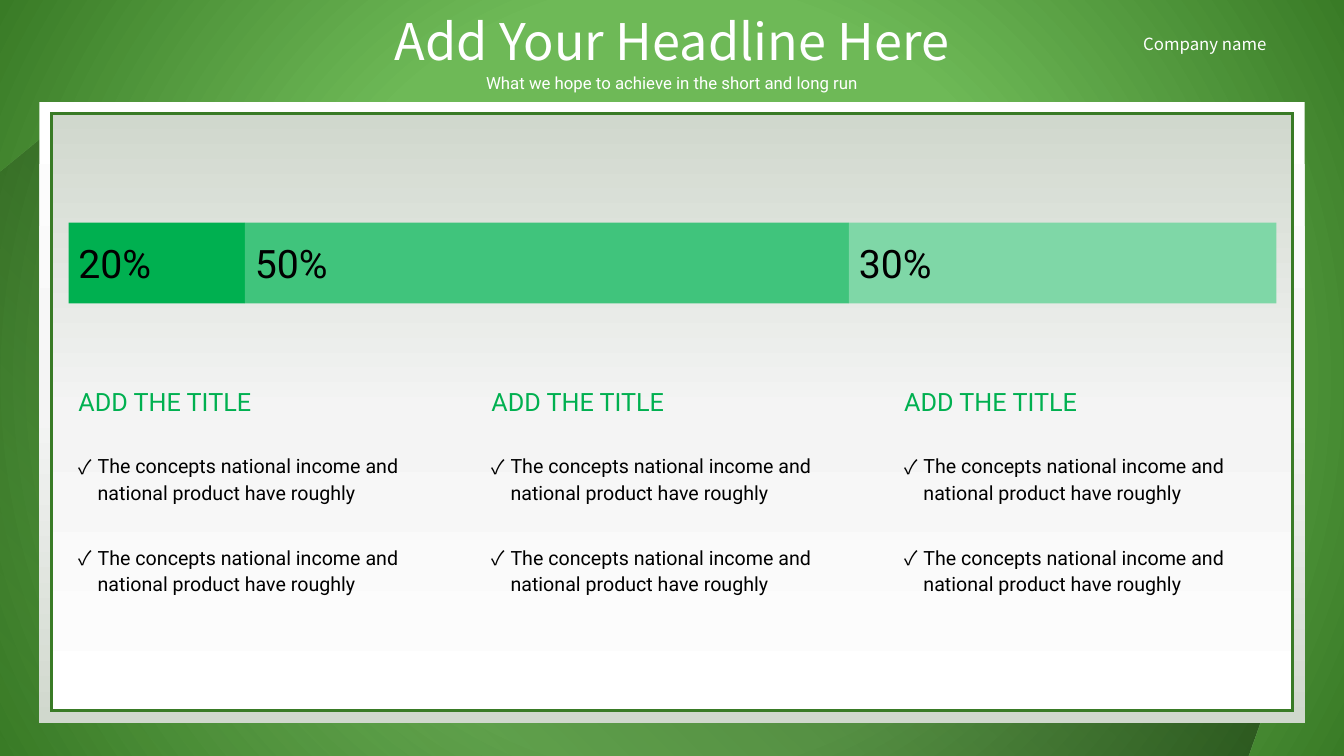
from lxml import etree
from pptx import Presentation
from pptx.dml.color import RGBColor
from pptx.enum.shapes import MSO_SHAPE
from pptx.enum.text import MSO_ANCHOR, MSO_AUTO_SIZE, PP_ALIGN
from pptx.oxml.ns import qn
from pptx.util import Inches, Pt

RECTANGLE = MSO_SHAPE.RECTANGLE
TOP, MIDDLE = MSO_ANCHOR.TOP, MSO_ANCHOR.MIDDLE
LEFT, CENTER = PP_ALIGN.LEFT, PP_ALIGN.CENTER
HEADING_FONT, BODY_FONT = "Noto Sans CJK SC", "Roboto"
WHITE, BLACK, GREEN, DARK_GREEN = "FFFFFF", "000000", "00B050", "397B26"

HEADLINE = "Add Your Headline Here"
SUBTITLE = "What we hope to achieve in the short and long run"
COMPANY = "Company name"
SEGMENTS = [("20%", 1.75, GREEN), ("50%", 5.99, "40C47C"), ("30%", 4.24, "7FD7A7")]
CONCEPT = "The concepts national income and national product have roughly"
COLUMNS = [("ADD THE TITLE", [CONCEPT, CONCEPT])] * 3

BACKGROUND_STOPS = [(50, "6EB957", 100), (100, DARK_GREEN, 100)]
SHADOW_STOPS = [(0, BLACK, 50), (100, BLACK, 0)]
PANEL_STOPS = [(0, WHITE, 100), (50, "F4F4F4", 100), (100, "D0D8CD", 100)]
SHADOW_POINTS = [(0.39, 1.38), (12.59, 6.88), (12.37, 7.5), (0, 7.5), (0, 1.7)]
PANELS = [((0.39, 1.01, 12.55, 6.16), 90, None), ((0.51, 1.13, 12.31, 5.92), 270, DARK_GREEN)]

CONTENT_LEFT, BAR_TOP, BAR_HEIGHT = 0.68, 2.21, 0.8
COLUMN_WIDTH, TITLE_TOP, BULLET_TOP, BULLET_PITCH = 3.79, 3.78, 4.42, 0.91


def color(value):
    return RGBColor.from_string(value)


def fill_gradient(properties, stops, angle=None):
    gradient = etree.Element(qn("a:gradFill"), rotWithShape="1")
    stop_list = etree.SubElement(gradient, qn("a:gsLst"))
    for position, value, opacity in stops:
        stop = etree.SubElement(stop_list, qn("a:gs"), pos=str(position * 1000))
        tint = etree.SubElement(stop, qn("a:srgbClr"), val=value)
        if opacity < 100:
            etree.SubElement(tint, qn("a:alpha"), val=str(opacity * 1000))
    if angle is None:
        circle = etree.SubElement(gradient, qn("a:path"), {"path": "circle"})
        etree.SubElement(circle, qn("a:fillToRect"), dict.fromkeys("ltrb", "50000"))
    else:
        etree.SubElement(gradient, qn("a:lin"), ang=str(angle * 60000), scaled="0")
    properties.replace(properties.find(qn("a:noFill")), gradient)


def style_shape(shape, line=None):
    shape.shadow.inherit = False
    shape.fill.background()
    if line:
        shape.line.color.rgb = color(line)
        shape.line.width = Pt(2.25)
        outline = shape.element.spPr.find(qn("a:ln"))
        etree.SubElement(outline, qn("a:miter"), lim="800000")
    else:
        shape.line.fill.background()


def write(shape, text, size, font, value, align=LEFT, anchor=TOP, wrap=True, spacing=None):
    frame = shape.text_frame
    frame.text = text
    frame.word_wrap = wrap
    frame.vertical_anchor = anchor
    frame.auto_size = MSO_AUTO_SIZE.NONE
    paragraph = frame.paragraphs[0]
    paragraph.alignment = align
    if spacing:
        paragraph.line_spacing = spacing
    run = paragraph.runs[0]
    run.font.size = Pt(size)
    run.font.name = font
    run.font.color.rgb = color(value)
    return paragraph


def add_text(slide, box, *args, **options):
    return write(slide.shapes.add_textbox(*map(Inches, box)), *args, **options)


def add_check(paragraph):
    properties = paragraph._p.get_or_add_pPr()
    properties.set("marL", str(Inches(0.19)))
    properties.set("indent", str(Inches(-0.19)))
    etree.SubElement(properties, qn("a:buFont"), typeface=HEADING_FONT)
    etree.SubElement(properties, qn("a:buChar"), char="✓")


def add_backdrop(slide):
    slide.background.fill.background()
    fill_gradient(slide.element.find(".//" + qn("p:bgPr")), BACKGROUND_STOPS)
    points = [(Inches(x), Inches(y)) for x, y in SHADOW_POINTS]
    builder = slide.shapes.build_freeform(*points[0])
    builder.add_line_segments(points[1:])
    shadow = builder.convert_to_shape()
    style_shape(shadow)
    fill_gradient(shadow.element.spPr, SHADOW_STOPS, 135)
    for box, angle, line in PANELS:
        panel = slide.shapes.add_shape(RECTANGLE, *map(Inches, box))
        style_shape(panel, line)
        fill_gradient(panel.element.spPr, PANEL_STOPS, angle)


def add_header(slide):
    title = slide.shapes.title
    title.left, title.top, title.width, title.height = map(Inches, (3.62, 0.05, 6.09, 0.71))
    write(title, HEADLINE, 36, HEADING_FONT, WHITE, align=CENTER, wrap=False)
    add_text(slide, (4.42, 0.65, 4.49, 0.32), SUBTITLE, 12, BODY_FONT, WHITE,
             align=CENTER, wrap=False, spacing=1.1)
    add_text(slide, (11.24, 0.29, 1.56, 0.3), COMPANY, 12, HEADING_FONT, WHITE, wrap=False)


def add_bar(slide):
    left = CONTENT_LEFT
    for label, width, value in SEGMENTS:
        box = (left, BAR_TOP, width, BAR_HEIGHT)
        segment = slide.shapes.add_shape(RECTANGLE, *map(Inches, box))
        style_shape(segment)
        segment.fill.solid()
        segment.fill.fore_color.rgb = color(value)
        write(segment, label, 28, BODY_FONT, BLACK, anchor=MIDDLE)
        left += width


def add_columns(slide):
    bar_width = sum(width for _, width, _ in SEGMENTS)
    pitch = (bar_width - COLUMN_WIDTH) / (len(COLUMNS) - 1)
    for column, (heading, bullets) in enumerate(COLUMNS):
        left = CONTENT_LEFT + column * pitch
        add_text(slide, (left, TITLE_TOP, 2.1, 0.4), heading, 18, BODY_FONT, GREEN, wrap=False)
        for row, bullet in enumerate(bullets):
            box = (left, BULLET_TOP + row * BULLET_PITCH, COLUMN_WIDTH, 0.64)
            add_check(add_text(slide, box, bullet, 14, BODY_FONT, BLACK, spacing=1.14))


def main():
    presentation = Presentation()
    presentation.slide_width, presentation.slide_height = Inches(13.33), Inches(7.5)
    slide = presentation.slides.add_slide(presentation.slide_layouts[5])
    add_backdrop(slide)
    add_header(slide)
    add_bar(slide)
    add_columns(slide)
    presentation.save("out.pptx")


if __name__ == "__main__":
    main()
